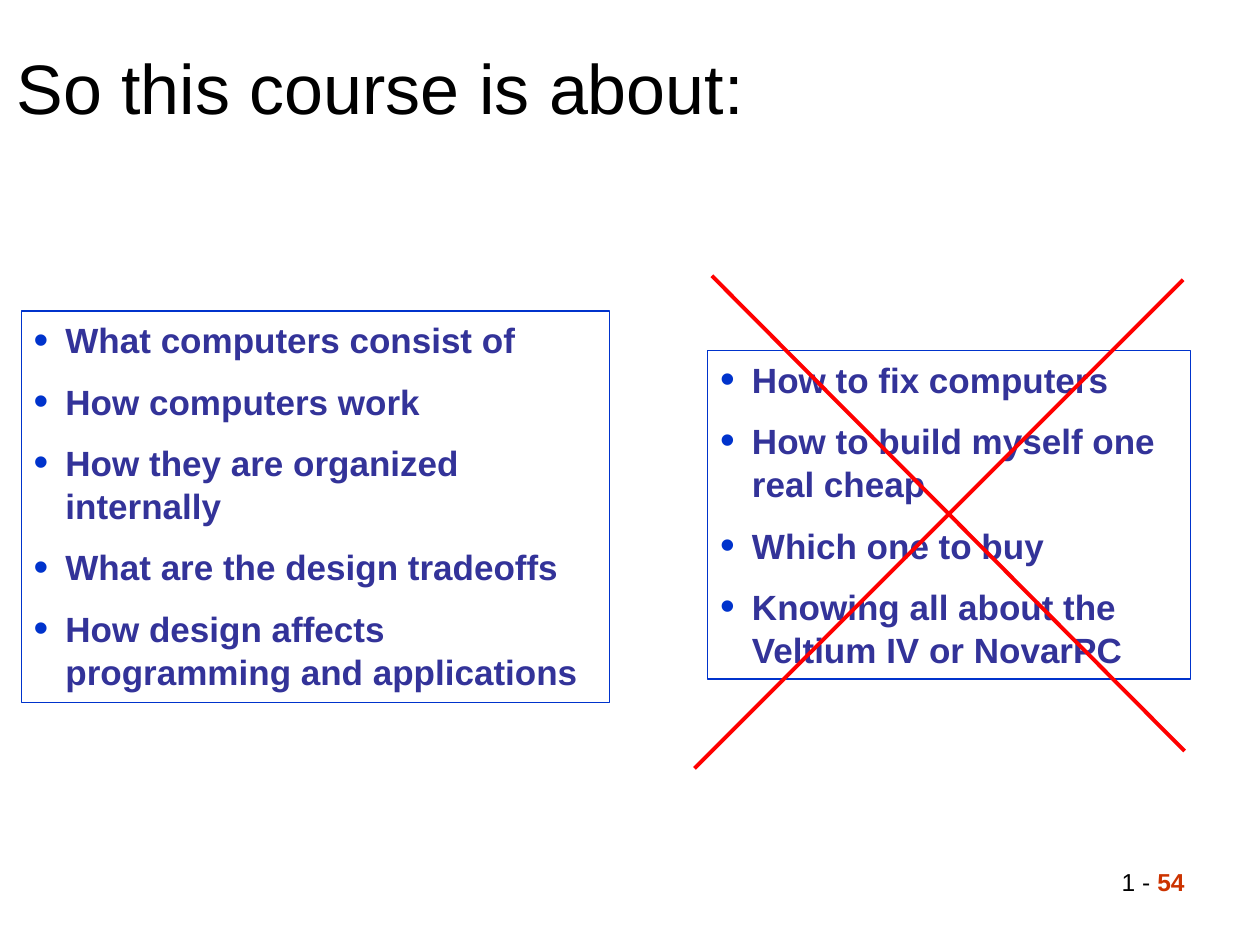
from pptx import Presentation
from pptx import util as u
from pptx.dml.color import RGBColor
from pptx.enum import shapes, text
from pptx.oxml.ns import qn
from lxml import etree

BLUE, INDIGO, RED, RUST, BLACK = "0033CC", "333399", "FF0000", "CC3300", "000000"


def rgb(code):
    return RGBColor.from_string(code)


def style(run, size, color, bold=False):
    font = run.font
    font.name, font.size, font.bold = "Arial", u.Pt(size), bold
    font.color.rgb = rgb(color)


def bullet(para):
    props = para._p.get_or_add_pPr()
    props.set("marL", str(u.Cm(0.64)))
    props.set("indent", str(-u.Cm(0.64)))
    color = etree.SubElement(props, qn("a:buClr"))
    etree.SubElement(color, qn("a:srgbClr"), val=BLUE)
    etree.SubElement(props, qn("a:buSzPct"), val="120000")
    etree.SubElement(props, qn("a:buFont"), typeface="Arial")
    etree.SubElement(props, qn("a:buChar"), char="•")


def add_title(slide, box, words):
    title = slide.shapes.title
    title.left, title.top, title.width, title.height = map(u.Cm, box)
    frame = title.text_frame
    frame.text = words
    frame.vertical_anchor = text.MSO_ANCHOR.MIDDLE
    para = frame.paragraphs[0]
    para.alignment = text.PP_ALIGN.LEFT
    style(para.runs[0], 40, BLACK)


def add_list(slide, box, items):
    panel = slide.shapes.add_shape(shapes.MSO_SHAPE.RECTANGLE, *map(u.Cm, box))
    panel.shadow.inherit = False
    panel.fill.background()
    panel.line.color.rgb = rgb(BLUE)
    panel.line.width = u.Pt(0.75)
    frame = panel.text_frame
    frame.word_wrap = True
    frame.vertical_anchor = text.MSO_ANCHOR.TOP
    frame.text = "\n".join(items)
    for i, para in enumerate(frame.paragraphs):
        para.alignment = text.PP_ALIGN.LEFT
        para.line_spacing = 1.04
        para.space_before = u.Pt(10 if i else 0)
        bullet(para)
        style(para.runs[0], 20, INDIGO, True)


def add_cross(slide, strokes):
    for ends in strokes:
        line = slide.shapes.add_connector(
            shapes.MSO_CONNECTOR.STRAIGHT, *map(u.Cm, ends))
        line.line.color.rgb = rgb(RED)
        line.line.width = u.Pt(2.25)
        etree.SubElement(line._element.spPr, qn("a:effectLst"))


def add_number(slide, box, parts):
    frame = slide.shapes.add_textbox(*map(u.Cm, box)).text_frame
    frame.word_wrap = True
    para = frame.paragraphs[0]
    para.alignment = text.PP_ALIGN.RIGHT
    for words, color, bold in parts:
        run = para.add_run()
        run.text = words
        style(run, 14, color, bold)


def main():
    deck = Presentation()
    deck.slide_width, deck.slide_height = u.Cm(25.4), u.Cm(19.05)
    slide = deck.slides.add_slide(deck.slide_layouts[5])

    add_title(slide, (0.08, 0.76, 22.86, 1.96), "So this course is about:")

    # What the course covers
    add_list(slide, (0.43, 6.27, 11.86, 7.9), [
        "What computers consist of",
        "How computers work",
        "How they are organized internally",
        "What are the design tradeoffs",
        "How design affects programming and applications",
    ])

    # What it does not cover, crossed out
    add_list(slide, (14.27, 7.06, 9.73, 6.63), [
        "How to fix computers",
        "How to build myself one real cheap",
        "Which one to buy",
        "Knowing all about the Veltium IV or NovarPC",
    ])
    add_cross(slide, [(23.85, 5.64, 14, 15.49), (14.35, 5.56, 23.88, 15.14)])

    # Page number
    add_number(slide, (18.21, 17.35, 5.92, 1.32),
               [("1 - ", BLACK, False), ("54", RUST, True)])

    deck.save("out.pptx")


if __name__ == "__main__":
    main()
